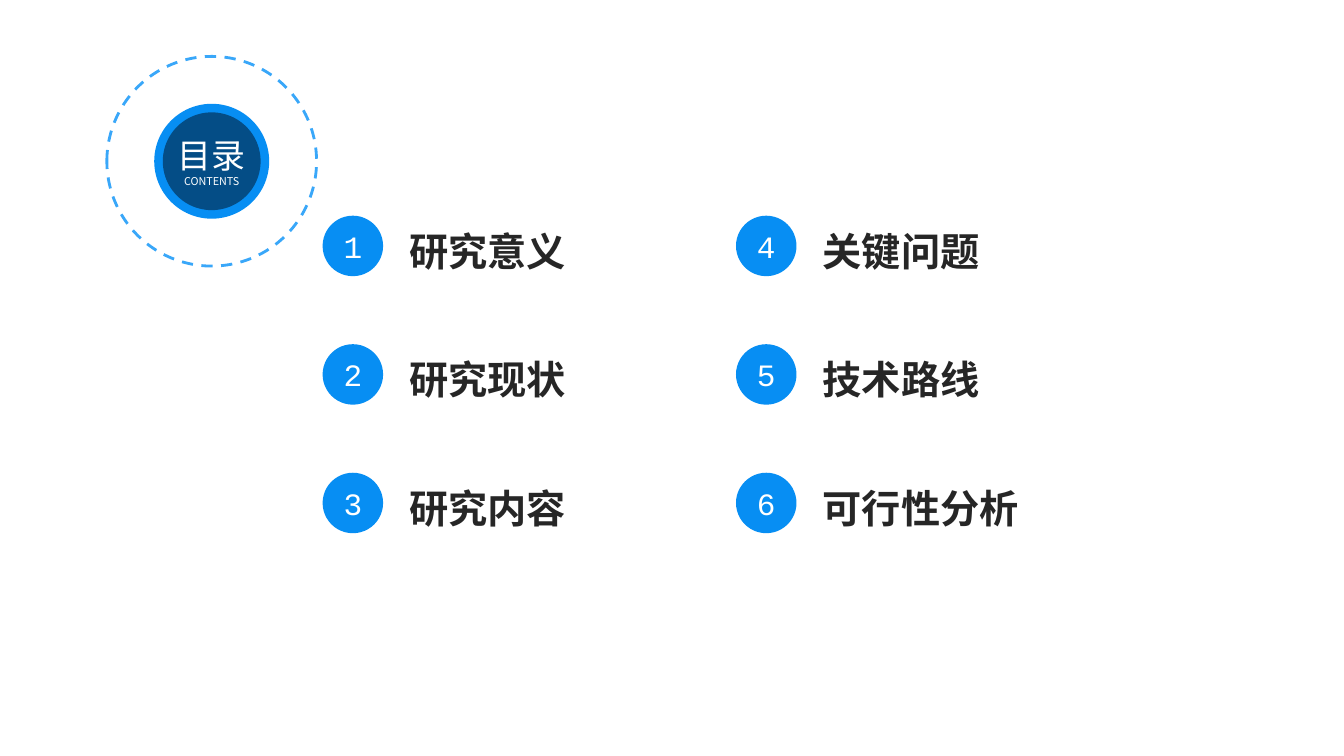
import pptx
import pptx.util
import pptx.dml.color
import pptx.enum.dml
import pptx.enum.shapes
import pptx.enum.text
import pptx.oxml.ns
import lxml.etree

TITLE_LINES = [("目录", 24.2), ("CONTENTS", 7.7)]
TOPIC_COLUMNS = [
    ["研究意义", "研究现状", "研究内容"],
    ["关键问题", "技术路线", "可行性分析"],
]
COLORS = {
    "blue": "078EF3",
    "light_blue": "39A7F9",
    "navy": "044D86",
    "white": "FFFFFF",
    "ink": "262626",
}
CHINESE_FONT = "Noto Sans CJK SC"
NUMBER_FONT = "Courier New"

BADGE_CENTER = (2.1, 1.6)
RING_SIZE, RIM_SIZE, DISC_SIZE = 2.08, 1.14, 0.97
FIRST_LEFT, FIRST_TOP = 3.2, 2.14
COLUMN_STEP, ROW_STEP = 4.1, 1.275
NUMBER_SIZE = 0.6
LABEL_OFFSET = (0.82, -0.12)
LABEL_SIZE = (2.43, 0.84)

Inches = pptx.util.Inches
Pt = pptx.util.Pt
CENTER = pptx.enum.text.PP_ALIGN.CENTER
LEFT = pptx.enum.text.PP_ALIGN.LEFT


def rgb(name):
    return pptx.dml.color.RGBColor.from_string(COLORS[name])


def add_circle(page, left, top, size, fill=None):
    circle = page.shapes.add_shape(
        pptx.enum.shapes.MSO_SHAPE.OVAL,
        Inches(left), Inches(top), Inches(size), Inches(size))
    circle.shadow.inherit = False
    circle.line.fill.background()
    if fill:
        circle.fill.solid()
        circle.fill.fore_color.rgb = rgb(fill)
    else:
        circle.fill.background()
    return circle


def add_badge_circle(page, size, fill=None):
    x, y = BADGE_CENTER
    return add_circle(page, x - size / 2, y - size / 2, size, fill)


def prepare_frame(box, left_inset=0):
    frame = box.text_frame
    frame.word_wrap = True
    frame.auto_size = pptx.enum.text.MSO_AUTO_SIZE.NONE
    frame.vertical_anchor = pptx.enum.text.MSO_ANCHOR.MIDDLE
    frame.margin_left = Inches(left_inset)
    frame.margin_top = frame.margin_right = frame.margin_bottom = 0
    return frame


def write(para, text, size, font, color, align, spacing=1.0, bold=False):
    para.alignment = align
    para.line_spacing = spacing
    para.space_before = Pt(0)
    span = para.add_run()
    span.text = text
    span.font.size = Pt(size)
    span.font.name = font
    span.font.bold = bold
    span.font.color.rgb = rgb(color)
    east_asian = lxml.etree.SubElement(
        span.font._element, pptx.oxml.ns.qn("a:ea"))
    east_asian.set("typeface", font)


def add_title_badge(page):
    add_badge_circle(page, RIM_SIZE, "blue")
    ring = add_badge_circle(page, RING_SIZE)
    ring.line.color.rgb = rgb("light_blue")
    ring.line.width = Pt(2)
    ring.line.dash_style = pptx.enum.dml.MSO_LINE.DASH
    disc = add_badge_circle(page, DISC_SIZE, "navy")

    title = page.shapes.title
    title.left, title.top = disc.left, disc.top
    title.width, title.height = disc.width, disc.height
    disc._element.addnext(title._element)
    frame = prepare_frame(title)
    for index, (text, size) in enumerate(TITLE_LINES):
        para = frame.add_paragraph() if index else frame.paragraphs[0]
        write(para, text, size, CHINESE_FONT, "white", CENTER)


def add_topic(page, number, topic, left, top):
    circle = add_circle(page, left, top, NUMBER_SIZE, "blue")
    write(prepare_frame(circle).paragraphs[0], str(number), 22.2,
          NUMBER_FONT, "white", CENTER)
    label = page.shapes.add_textbox(
        Inches(left + LABEL_OFFSET[0]), Inches(top + LABEL_OFFSET[1]),
        Inches(LABEL_SIZE[0]), Inches(LABEL_SIZE[1]))
    write(prepare_frame(label, 0.04).paragraphs[0], topic, 28,
          CHINESE_FONT, "ink", LEFT, spacing=1.2, bold=True)


def main():
    deck = pptx.Presentation()
    deck.slide_width, deck.slide_height = Inches(13.33), Inches(7.5)
    page = deck.slides.add_slide(deck.slide_layouts[5])
    page.background.fill.solid()
    page.background.fill.fore_color.rgb = rgb("white")
    add_title_badge(page)
    number = 0
    for column, topics in enumerate(TOPIC_COLUMNS):
        for row, topic in enumerate(topics):
            number += 1
            add_topic(page, number, topic,
                      FIRST_LEFT + column * COLUMN_STEP,
                      FIRST_TOP + row * ROW_STEP)
    deck.save("out.pptx")


if __name__ == "__main__":
    main()
